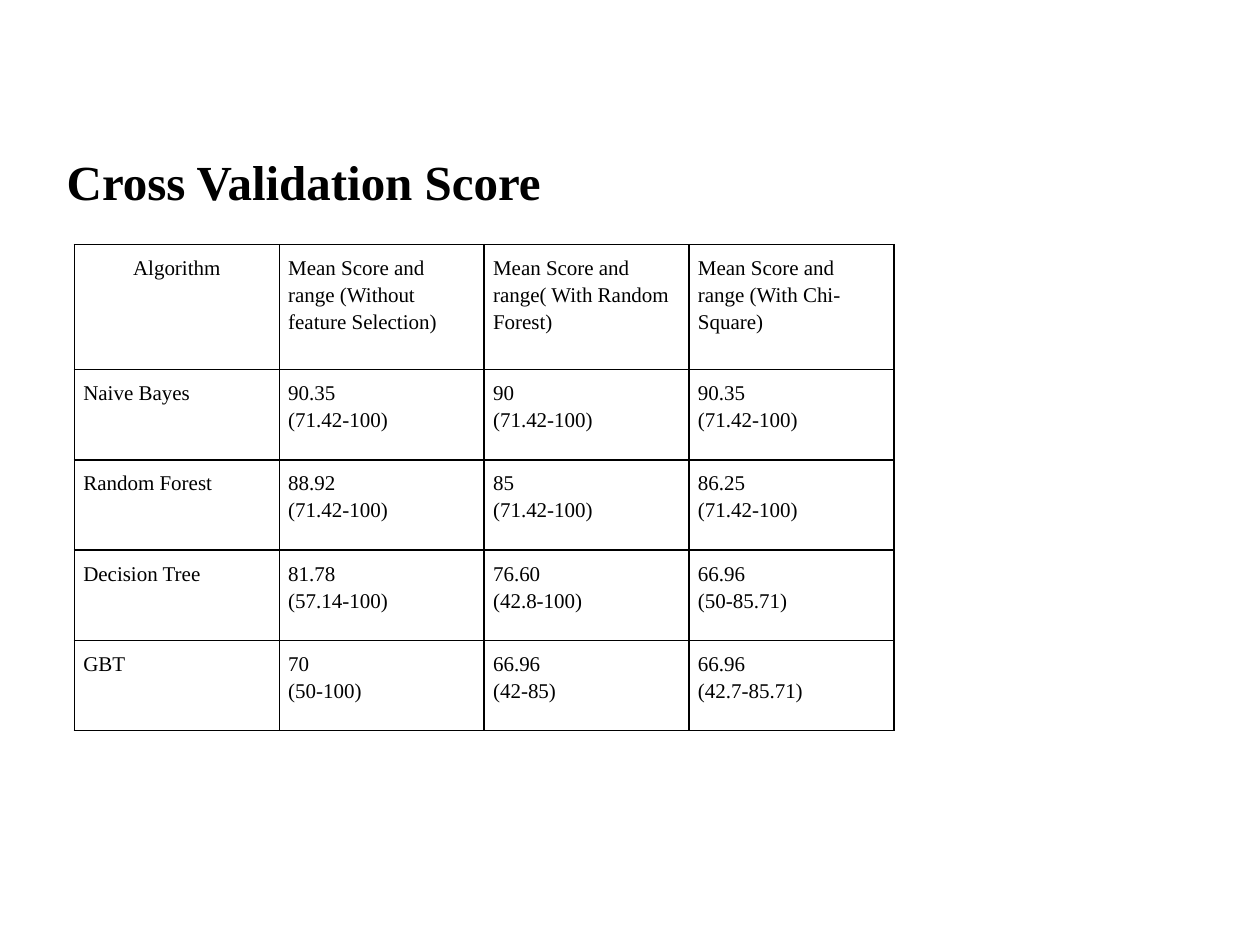
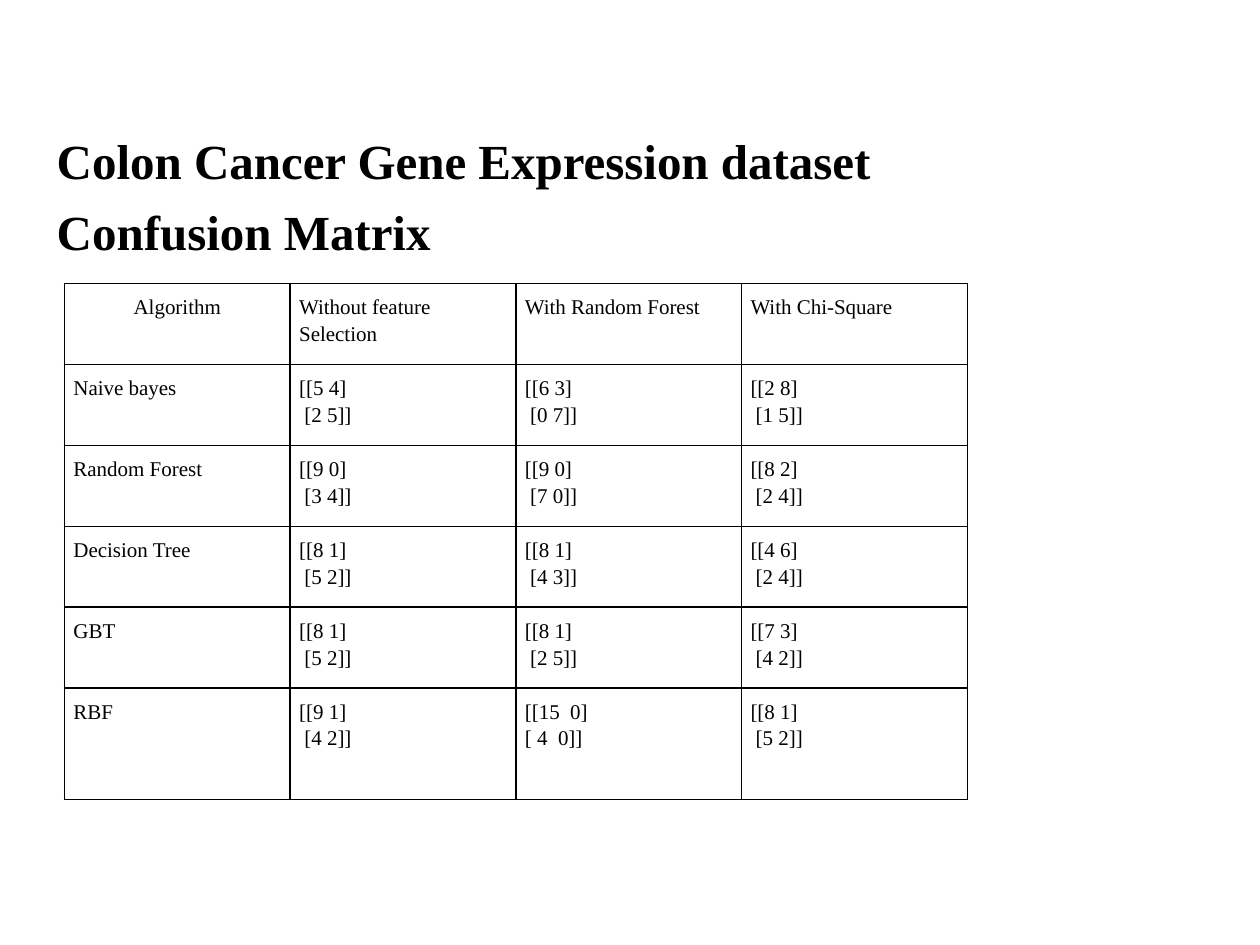
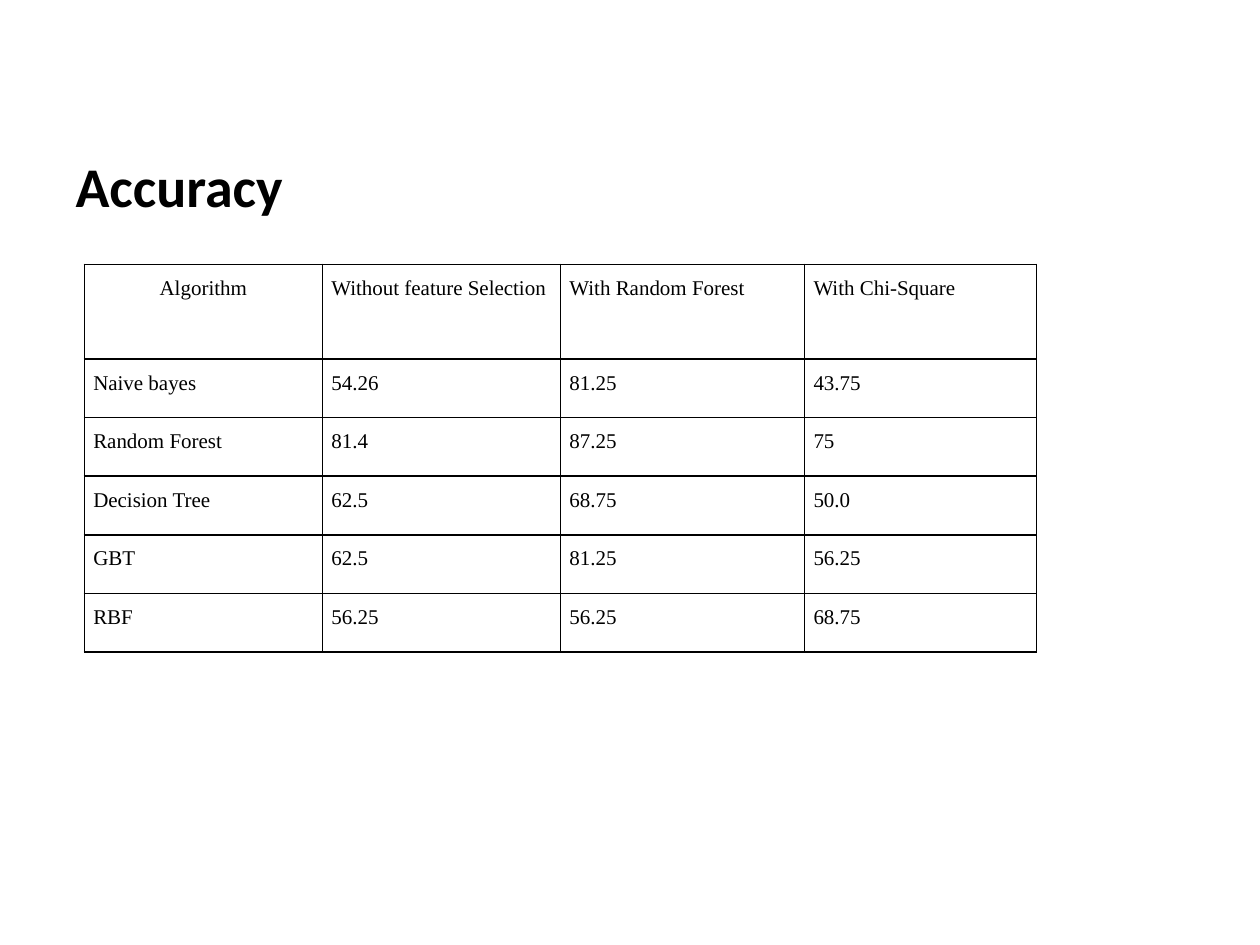
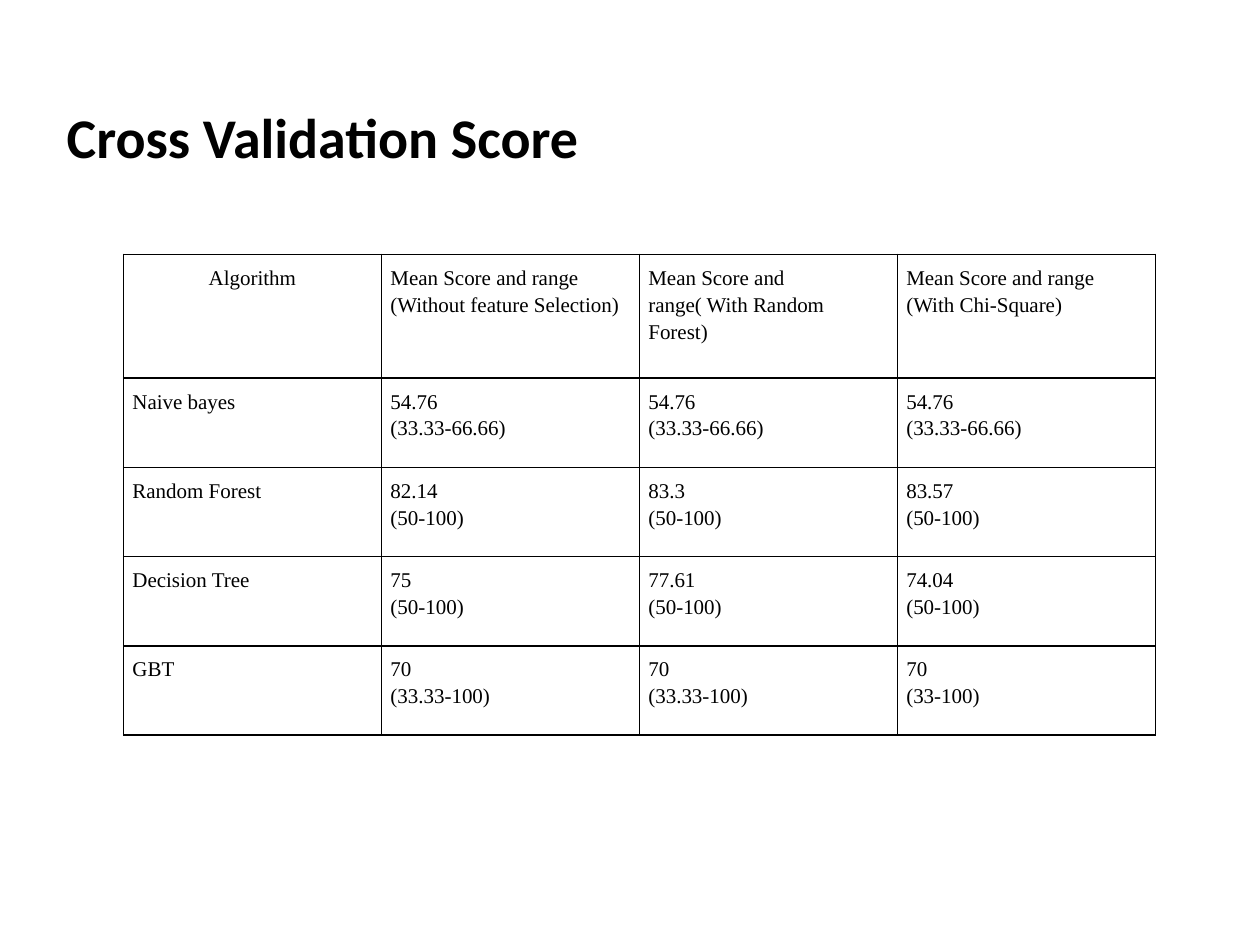
from dataclasses import dataclass

from lxml.etree import SubElement
from pptx import Presentation
from pptx.dml.color import RGBColor
from pptx.enum.text import MSO_ANCHOR, MSO_AUTO_SIZE, PP_ALIGN
from pptx.oxml.ns import qn
from pptx.slide import Slide
from pptx.table import _Cell
from pptx.util import Cm, Pt

INK = "000000"
SERIF = "Times New Roman"
SANS = "Calibri"
TITLE_ONLY = 5
CELL_INSET = Cm(0.18)
BORDER_WIDTH = Pt(1)


@dataclass
class Heading:
    text: str
    left: float
    top: float
    height: float = 12.57
    font: str = SERIF
    size: int = 28


@dataclass
class ResultTable:
    """Rows of results, with the position and the column and row sizes in cm."""
    left: float
    top: float
    columns: list[float]
    heights: list[float]
    rows: list[list[str]]


@dataclass
class ResultSlide:
    heading: Heading
    results: ResultTable


SELECTIONS = ["Algorithm", "Without feature Selection", "With Random Forest",
              "With Chi-Square"]
SCORES = ["Algorithm", "Mean Score and range (Without feature Selection)",
          "Mean Score and range( With Random Forest)",
          "Mean Score and range (With Chi-Square)"]

SLIDES = [
    ResultSlide(
        Heading("Cross Validation Score", 1.09, 2.92),
        ResultTable(1.5, 4.93, [4.13] * 4, [2.52] + [1.82] * 4, [
            SCORES,
            ["Naive Bayes", "90.35\n(71.42-100)", "90\n(71.42-100)", "90.35\n(71.42-100)"],
            ["Random Forest", "88.92\n(71.42-100)", "85\n(71.42-100)", "86.25\n(71.42-100)"],
            ["Decision Tree", "81.78\n(57.14-100)", "76.60\n(42.8-100)", "66.96\n(50-85.71)"],
            ["GBT", "70\n(50-100)", "66.96\n(42-85)", "66.96\n(42.7-85.71)"],
        ])),
    ResultSlide(
        Heading("Colon Cancer Gene Expression dataset\nConfusion Matrix", 0.89, 2.51),
        ResultTable(1.3, 5.72, [4.55] * 4, [1.63] * 5 + [2.25], [
            SELECTIONS,
            ["Naive bayes", "[[5 4]\n [2 5]]", "[[6 3]\n [0 7]]", "[[2 8]\n [1 5]]"],
            ["Random Forest", "[[9 0]\n [3 4]]", "[[9 0]\n [7 0]]", "[[8 2]\n [2 4]]"],
            ["Decision Tree", "[[8 1]\n [5 2]]", "[[8 1]\n [4 3]]", "[[4 6]\n [2 4]]"],
            ["GBT", "[[8 1]\n [5 2]]", "[[8 1]\n [2 5]]", "[[7 3]\n [4 2]]"],
            ["RBF", "[[9 1]\n [4 2]]", "[[15  0]\n[ 4  0]]", "[[8 1]\n [5 2]]"],
        ])),
    ResultSlide(
        Heading("Accuracy", 1.27, 2.92, 14.1, SANS, 32),
        ResultTable(1.7, 5.33, [4.8, 4.8, 4.92, 4.67], [1.91] + [1.18] * 5, [
            SELECTIONS,
            ["Naive bayes", "54.26", "81.25", "43.75"],
            ["Random Forest", "81.4", "87.25", "75"],
            ["Decision Tree", "62.5", "68.75", "50.0"],
            ["GBT", "62.5", "81.25", "56.25"],
            ["RBF", "56.25", "56.25", "68.75"],
        ])),
    ResultSlide(
        Heading("Cross Validation Score", 1.09, 1.93, font=SANS, size=32),
        ResultTable(2.49, 5.13, [5.2] * 4, [2.49] + [1.8] * 4, [
            SCORES,
            ["Naive bayes"] + ["54.76\n(33.33-66.66)"] * 3,
            ["Random Forest", "82.14\n(50-100)", "83.3\n(50-100)", "83.57\n(50-100)"],
            ["Decision Tree", "75\n(50-100)", "77.61\n(50-100)", "74.04\n(50-100)"],
            ["GBT", "70\n(33.33-100)", "70\n(33.33-100)", "70\n(33-100)"],
        ])),
]


def color(value: str) -> RGBColor:
    return RGBColor.from_string(value)


def add_heading(slide: Slide, heading: Heading) -> None:
    title = slide.shapes.title
    title.left, title.top = Cm(heading.left), Cm(heading.top)
    title.width, title.height = Cm(22.86), Cm(heading.height)
    frame = title.text_frame
    frame.text = heading.text
    frame.word_wrap = True
    frame.auto_size = MSO_AUTO_SIZE.NONE
    frame.vertical_anchor = MSO_ANCHOR.TOP
    for index, paragraph in enumerate(frame.paragraphs):
        paragraph.alignment = PP_ALIGN.LEFT
        paragraph.space_before = Pt(7 if index else 3)
        paragraph.font.name = heading.font
        paragraph.font.size = Pt(heading.size)
        paragraph.font.bold = True
        paragraph.font.color.rgb = color(INK)


def add_borders(cell: _Cell) -> None:
    properties = cell._tc.get_or_add_tcPr()
    for side in ("a:lnL", "a:lnR", "a:lnT", "a:lnB"):
        line = SubElement(properties, qn(side), w=str(BORDER_WIDTH))
        fill = SubElement(line, qn("a:solidFill"))
        SubElement(fill, qn("a:srgbClr"), val=INK)


def fill_cell(cell: _Cell, text: str, alignment: PP_ALIGN) -> None:
    cell.margin_left = cell.margin_right = CELL_INSET
    cell.margin_top = cell.margin_bottom = CELL_INSET
    add_borders(cell)
    cell.fill.background()
    cell.text_frame.text = text
    for paragraph in cell.text_frame.paragraphs:
        paragraph.alignment = alignment
        paragraph.line_spacing = 1.15
        paragraph.font.name = SERIF
        paragraph.font.size = Pt(12)
        paragraph.font.color.rgb = color(INK)


def add_results(slide: Slide, results: ResultTable) -> None:
    table = slide.shapes.add_table(
        len(results.rows), len(results.columns), Cm(results.left), Cm(results.top),
        Cm(sum(results.columns)), Cm(sum(results.heights))).table
    table.first_row = table.horz_banding = False
    for column, width in zip(table.columns, results.columns):
        column.width = Cm(width)
    for row, height, texts in zip(table.rows, results.heights, results.rows):
        row.height = Cm(height)
        for cell, text in zip(row.cells, texts):
            fill_cell(cell, text, PP_ALIGN.CENTER if text == "Algorithm" else PP_ALIGN.LEFT)


def main() -> None:
    presentation = Presentation()
    presentation.slide_width, presentation.slide_height = Cm(25.4), Cm(19.05)
    for content in SLIDES:
        slide = presentation.slides.add_slide(presentation.slide_layouts[TITLE_ONLY])
        add_heading(slide, content.heading)
        add_results(slide, content.results)
    presentation.save("out.pptx")


if __name__ == "__main__":
    main()
